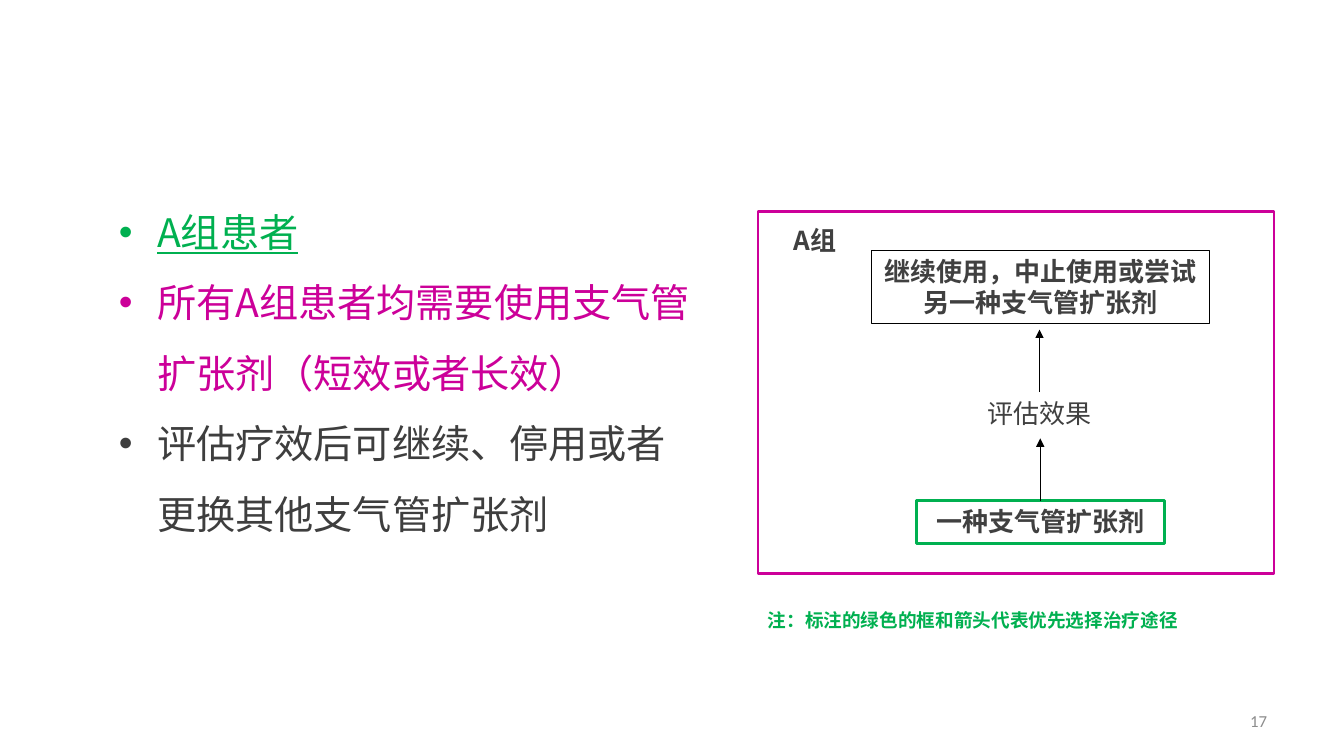
"""Build the slide on bronchodilator treatment for group A patients."""
from dataclasses import dataclass
from typing import Optional

from lxml import etree
from pptx import Presentation
from pptx import util as u
from pptx.dml.color import RGBColor
from pptx.enum import shapes, text
from pptx.oxml import ns

GREEN = RGBColor(0x00, 0xB0, 0x50)
MAGENTA = RGBColor(0xCC, 0x00, 0x99)
DARK = RGBColor(0x3E, 0x3E, 0x3E)
CHARCOAL = RGBColor(0x40, 0x40, 0x40)
GREY = RGBColor(0x8C, 0x8C, 0x8C)
BLACK = RGBColor(0x00, 0x00, 0x00)
CJK = "Noto Sans CJK SC"
LEFT, CENTER, RIGHT = text.PP_ALIGN.LEFT, text.PP_ALIGN.CENTER, text.PP_ALIGN.RIGHT
TOP, MIDDLE = text.MSO_ANCHOR.TOP, text.MSO_ANCHOR.MIDDLE
HANGING = u.Pt(27.36)


@dataclass(frozen=True)
class Style:
    size: float = 18.6
    color: RGBColor = CHARCOAL
    bold: bool = False
    underline: bool = False
    font: str = CJK
    align: text.PP_ALIGN = CENTER
    spacing: float = 1.0


@dataclass(frozen=True)
class Label:
    words: str
    left: float
    top: float
    width: float
    height: float
    style: Style
    border: Optional[RGBColor] = None
    weight: float = 0.75
    anchor: text.MSO_ANCHOR = TOP


@dataclass(frozen=True)
class Arrow:
    start: str
    rise: float


BOLD = Style(bold=True)
DRUG = "一种支气管扩张剂"
EFFECT = "评估效果"
LABELS = (
    Label("17", 688.3, 500.4, 223.9, 28.8,
          Style(12, GREY, font="Calibri", align=RIGHT), anchor=MIDDLE),
    Label("", 541.4, 151.2, 368.6, 258.5, BOLD, MAGENTA, 2),
    Label(DRUG, 654.5, 357.8, 177.1, 30.2, BOLD, GREEN, 2.25),
    Label(EFFECT, 678.4, 280.1, 128.2, 30.2, Style()),
    Label("继续使用，中止使用或尝试另一种支气管扩张剂", 622.8, 178.6, 241.2, 52.6,
          BOLD, BLACK),
    Label("A组", 541.4, 157, 81.4, 30.2, BOLD),
    Label("注：标注的绿色的框和箭头代表优先选择治疗途径", 541.4, 423.4, 368.6, 31.7,
          Style(13.3, GREEN, True, align=LEFT, spacing=1.5)),
)
ARROWS = (Arrow(DRUG, 44.6), Arrow(EFFECT, 44.6))
BULLETS = (
    ("A组患者", Style(28, GREEN, underline=True, align=LEFT, spacing=1.5)),
    ("所有A组患者均需要使用支气管扩张剂（短效或者长效）",
     Style(28, MAGENTA, align=LEFT, spacing=1.5)),
    ("评估疗效后可继续、停用或者更换其他支气管扩张剂",
     Style(28, DARK, align=LEFT, spacing=1.5)),
)


def write(para, words: str, style: Style) -> None:
    """Fill a paragraph and format its runs."""
    para.text = words
    para.alignment = style.align
    para.line_spacing = style.spacing
    for span in para.runs:
        span.font.size = u.Pt(style.size)
        span.font.bold = style.bold
        span.font.underline = style.underline
        span.font.color.rgb = style.color
        span.font.name = style.font
        properties = span._r.get_or_add_rPr()
        etree.SubElement(properties, ns.qn("a:ea"), typeface=style.font)


def add_label(page, label: Label):
    """Add a text box, or a rectangle when the label has a border."""
    area = [u.Pt(value) for value in (label.left, label.top, label.width, label.height)]
    if label.border is None:
        box = page.shapes.add_textbox(*area)
    else:
        box = page.shapes.add_shape(shapes.MSO_SHAPE.RECTANGLE, *area)
        box.shadow.inherit = False
        box.fill.background()
        box.line.color.rgb = label.border
        box.line.width = u.Pt(label.weight)
    box.text_frame.word_wrap = True
    box.text_frame.vertical_anchor = label.anchor
    if label.words:
        write(box.text_frame.paragraphs[0], label.words, label.style)
    return box


def add_arrow(page, box, arrow: Arrow) -> None:
    """Add an upward arrow from the middle of a box's top side."""
    center = box.left + box.width // 2
    line = page.shapes.add_connector(
        shapes.MSO_CONNECTOR.STRAIGHT, center, box.top, center, box.top - u.Pt(arrow.rise))
    line.begin_connect(box, 0)
    line.line.color.rgb = BLACK
    line.line.width = u.Pt(0.75)
    etree.SubElement(line.line._get_or_add_ln(), ns.qn("a:tailEnd"), type="triangle")
    etree.SubElement(line._element.spPr, ns.qn("a:effectLst"))


def add_bullets(page) -> None:
    """Add the bulleted treatment advice."""
    box = page.shapes.add_textbox(u.Pt(77.8), u.Pt(128.2), u.Pt(425.5), u.Pt(306.7))
    frame = box.text_frame
    frame.word_wrap = True
    frame.text = "\n".join(words for words, _ in BULLETS)
    for para, (words, style) in zip(frame.paragraphs, BULLETS):
        write(para, words, style)
        properties = para._p.get_or_add_pPr()
        properties.set("marL", str(HANGING))
        properties.set("indent", str(-HANGING))
        etree.SubElement(properties, ns.qn("a:buFont"), typeface="Arial")
        etree.SubElement(properties, ns.qn("a:buChar"), char="•")


def main() -> None:
    """Build and save the deck."""
    deck = Presentation()
    deck.slide_width, deck.slide_height = u.Pt(960), u.Pt(540)
    page = deck.slides.add_slide(deck.slide_layouts[6])
    add_bullets(page)
    boxes = {label.words: add_label(page, label) for label in LABELS}
    for arrow in ARROWS:
        add_arrow(page, boxes[arrow.start], arrow)
    deck.save("out.pptx")


if __name__ == "__main__":
    main()
